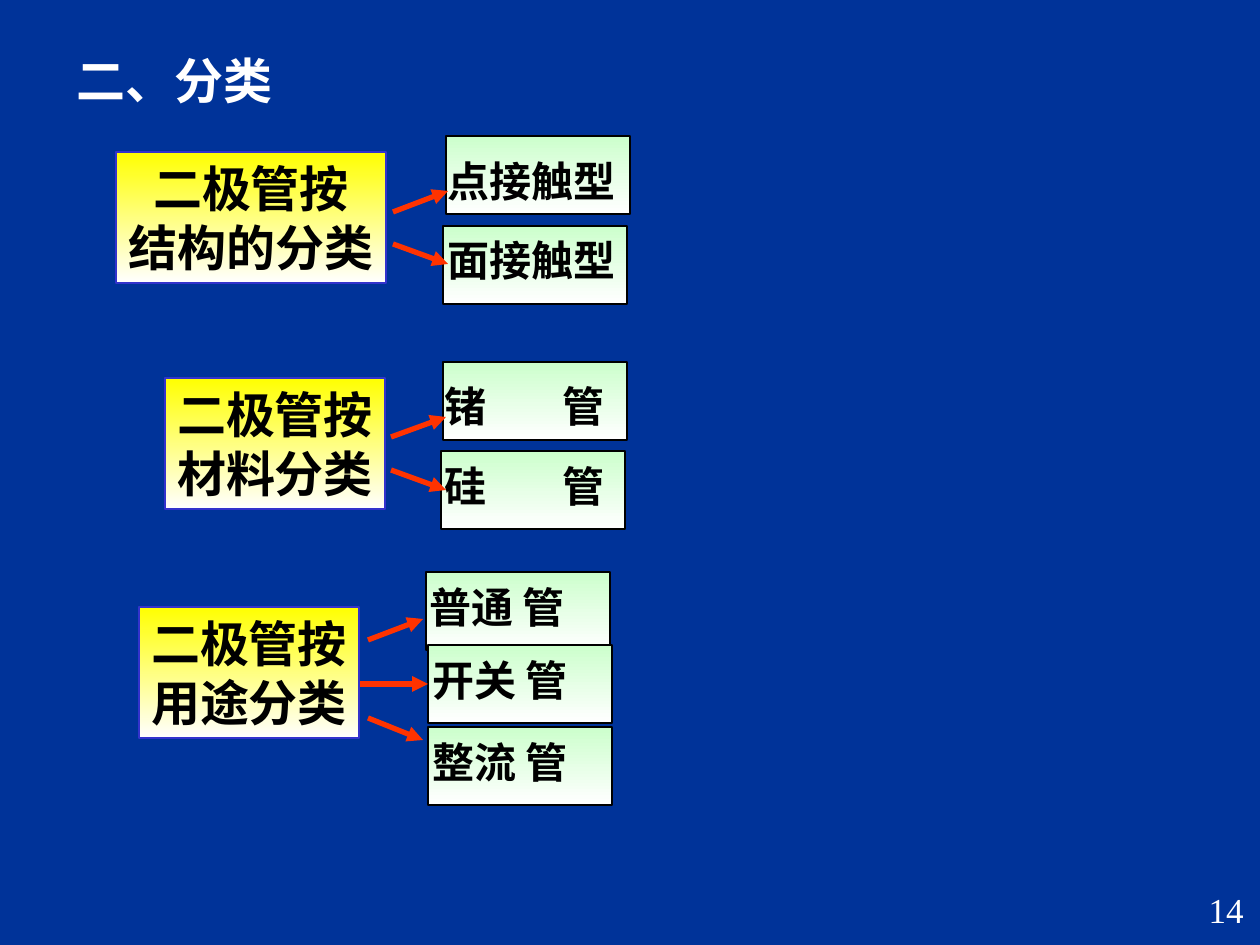
import pptx
import pptx.dml.color
import pptx.enum.shapes
import pptx.enum.text
import pptx.oxml.ns
import pptx.util
import lxml.etree

SCALE = pptx.util.Inches(1) / 126
COLOURS = {
    "background": "003399",
    "white": "FFFFFF",
    "black": "000000",
    "yellow": "FFFF00",
    "mint": "CCFFCC",
    "heading line": "3333CC",
    "arrow": "FF3300",
}
RGB = {name: pptx.dml.color.RGBColor.from_string(value) for name, value in COLOURS.items()}
ALIGN = pptx.enum.text.PP_ALIGN
ANCHOR = pptx.enum.text.MSO_ANCHOR


def px(*values):
    return [pptx.util.Emu(round(value * SCALE)) for value in values]


def write(shape, text, size=24, bold=True, colour="black", align=ALIGN.LEFT,
          anchor=ANCHOR.MIDDLE, wrap=True, tab=None):
    frame = shape.text_frame
    frame.auto_size = pptx.enum.text.MSO_AUTO_SIZE.NONE
    frame.word_wrap = wrap
    frame.vertical_anchor = anchor
    frame.text = text
    for paragraph in frame.paragraphs:
        paragraph.alignment = align
        if tab:
            properties = paragraph._p.get_or_add_pPr()
            tabs = lxml.etree.SubElement(properties, pptx.oxml.ns.qn("a:tabLst"))
            lxml.etree.SubElement(tabs, pptx.oxml.ns.qn("a:tab"), pos=str(px(tab)[0]), algn="l")
        for run in paragraph.runs:
            run.font.name = "Times New Roman"
            run.font.size = pptx.util.Pt(size)
            run.font.bold = bold
            run.font.color.rgb = RGB[colour]


presentation = pptx.Presentation()
presentation.slide_width, presentation.slide_height = px(1260, 945)
slide = presentation.slides.add_slide(presentation.slide_layouts[5])
slide.background.fill.solid()
slide.background.fill.fore_color.rgb = RGB["background"]

title = slide.shapes.title
title.left, title.top, title.width, title.height = px(64, 44, 452, 72)
write(title, "二、分类", size=28, colour="white")

PANEL_WIDTH, PANEL_HEIGHT = 184, 78
LABEL_WIDTH, LABEL_HEIGHT = 218, 63
HEADING_HEIGHT = 131
groups = [
    {
        "heading": ("二极管按\n结构的分类", 116, 152, 270),
        "kinds": [("点接触型", 446, 136, 435, 149), ("面接触型", 443, 226, 435, 228)],
        "arrows": [(393, 212, 448, 191), (393, 244, 448, 264)],
    },
    {
        "heading": ("二极管按\n材料分类", 165, 378, 220),
        "kinds": [("锗\t管", 443, 362, 432, 374), ("硅\t管", 441, 451, 432, 454)],
        "arrows": [(391, 437, 446, 417), (391, 470, 446, 490)],
    },
    {
        "heading": ("二极管按\n用途分类", 139, 607, 220),
        "kinds": [("普通 管", 426, 572, 417, 575), ("开关 管", 428, 645, 420, 648),
                  ("整流 管", 428, 727, 420, 730)],
        "arrows": [(368, 640, 423, 619), (360, 684, 428, 684), (368, 718, 423, 740)],
    },
]

for group in groups:
    text, left, top, width = group["heading"]
    boxes = [(left, top, width, HEADING_HEIGHT, "yellow", "heading line")]
    for _, left, top, _, _ in group["kinds"]:
        boxes.append((left, top, PANEL_WIDTH, PANEL_HEIGHT, "mint", "black"))

    panels = []
    for left, top, width, height, fill, line in boxes:
        panel = slide.shapes.add_shape(
            pptx.enum.shapes.MSO_SHAPE.RECTANGLE, *px(left, top, width, height))
        panel.shadow.inherit = False
        panel.fill.gradient()
        panel.fill.gradient_angle = 270
        for stop, colour in zip(panel.fill.gradient_stops, (fill, "white")):
            stop.color.rgb = RGB[colour]
        panel.line.color.rgb = RGB[line]
        panel.line.width = pptx.util.Pt(0.75)
        panels.append(panel)
    write(panels[0], text, size=28, align=ALIGN.CENTER, anchor=ANCHOR.TOP, wrap=False)

    for kind, _, _, left, top in group["kinds"]:
        label = slide.shapes.add_textbox(*px(left, top, LABEL_WIDTH, LABEL_HEIGHT))
        write(label, kind, tab=118 if "\t" in kind else None)

    for start_x, start_y, end_x, end_y in group["arrows"]:
        arrow = slide.shapes.add_connector(
            pptx.enum.shapes.MSO_CONNECTOR.STRAIGHT, *px(start_x, start_y, end_x, end_y))
        arrow.line.color.rgb = RGB["arrow"]
        arrow.line.width = pptx.util.Pt(3)
        lxml.etree.SubElement(arrow.line._get_or_add_ln(), pptx.oxml.ns.qn("a:tailEnd"), type="triangle")
        lxml.etree.SubElement(arrow._element.spPr, pptx.oxml.ns.qn("a:effectLst"))
        if start_y == end_y:
            arrow.end_connect(panels[2], 1)

number = slide.shapes.add_textbox(*px(994, 882, 262, 63))
write(number, "14", size=20, bold=False, colour="white", align=ALIGN.RIGHT, anchor=ANCHOR.TOP)

presentation.save("out.pptx")
